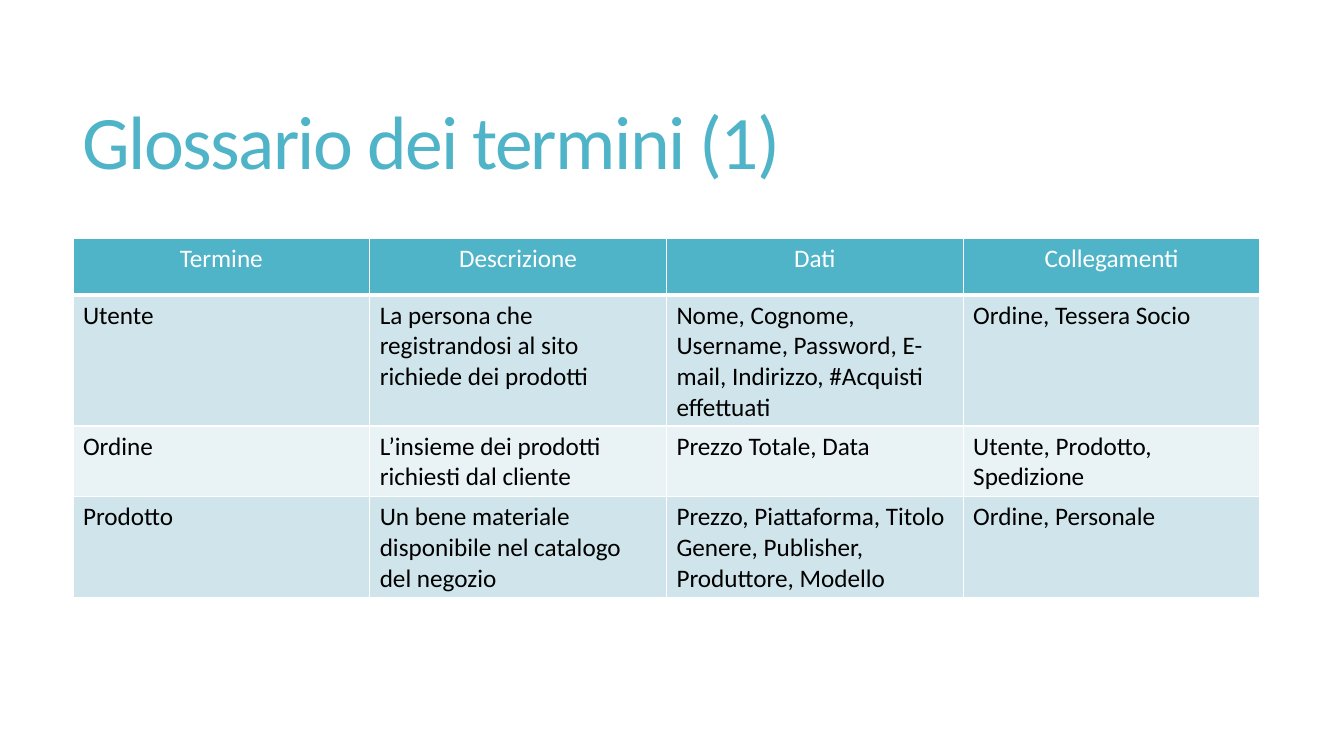
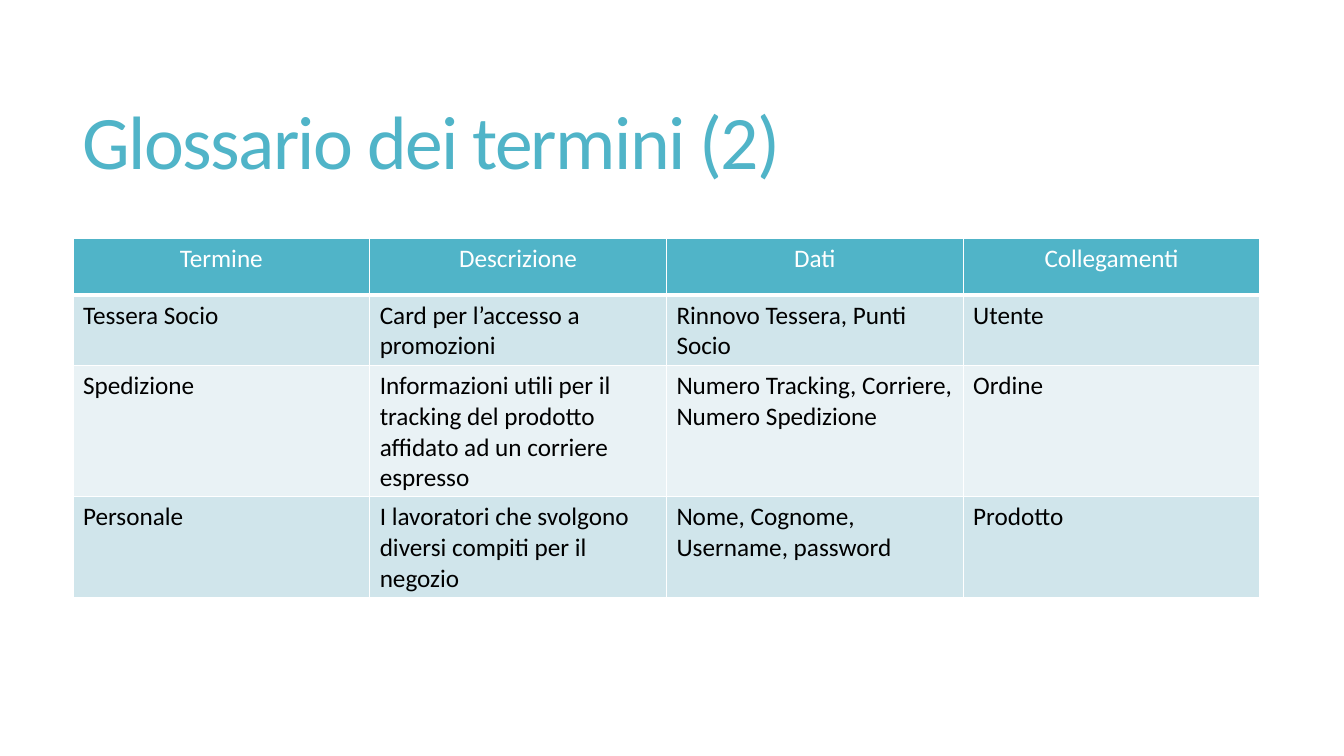
"""Build two glossary slides, each with a title and a table of terms."""
from dataclasses import dataclass

from lxml import etree
from pptx import Presentation
from pptx.dml.color import RGBColor
from pptx.enum.text import MSO_ANCHOR, PP_ALIGN
from pptx.util import Emu, Pt

MIDDLE = MSO_ANCHOR.MIDDLE
CENTER, LEFT = PP_ALIGN.CENTER, PP_ALIGN.LEFT
A = "{http://schemas.openxmlformats.org/drawingml/2006/main}"
PX = 914400 / 100.8


@dataclass(frozen=True)
class Theme:
    font: str = "Calibri"
    accent: str = "50B4C8"
    white: str = "FFFFFF"
    ink: str = "000000"
    bands: tuple = ("D0E5EB", "E9F2F5")
    title_size: int = 54
    body_size: int = 18
    title_tracking: int = -120
    title_leading: float = 0.85
    rule: int = 1
    header_rule: int = 3


theme = Theme()


def px(n):
    return Emu(round(n * PX))


def add_text(p, text, size, color):
    r = p.add_run()
    r.text = text
    r.font.name = theme.font
    r.font.size = Pt(size)
    r.font.bold = False
    r.font.color.rgb = RGBColor.from_string(color)
    return r


LEFT_X, WIDTH = 73, 1187
TITLE_Y, TITLE_H = 55, 183
TABLE_Y, HEADER_H, ROW_H = 238, 57, 58

HEADER = ("Termine", "Descrizione", "Dati", "Collegamenti")
GLOSSARY = [
    ("Glossario dei termini (1)", [
        ("Utente",
         "La persona che registrandosi al sito richiede dei prodotti",
         "Nome, Cognome, Username, Password, E-mail, Indirizzo, #Acquisti effettuati",
         "Ordine, Tessera Socio"),
        ("Ordine",
         "L’insieme dei prodotti richiesti dal cliente",
         "Prezzo Totale, Data",
         "Utente, Prodotto, Spedizione"),
        ("Prodotto",
         "Un bene materiale disponibile nel catalogo del negozio",
         "Prezzo, Piattaforma, Titolo Genere, Publisher, Produttore, Modello",
         "Ordine, Personale"),
    ]),
    ("Glossario dei termini (2)", [
        ("Tessera Socio",
         "Card per l’accesso a promozioni",
         "Rinnovo Tessera, Punti Socio",
         "Utente"),
        ("Spedizione",
         "Informazioni utili per il tracking del prodotto affidato ad un corriere espresso",
         "Numero Tracking, Corriere, Numero Spedizione",
         "Ordine"),
        ("Personale",
         "I lavoratori che svolgono diversi compiti per il negozio",
         "Nome, Cognome, Username, password",
         "Prodotto"),
    ]),
]

prs = Presentation()
prs.slide_width, prs.slide_height = px(1344), px(756)
blank = prs.slide_layouts[6]

for title, terms in GLOSSARY:
    s = prs.slides.add_slide(blank)

    sp = s.shapes.add_textbox(px(LEFT_X), px(TITLE_Y), px(WIDTH), px(TITLE_H))
    tf = sp.text_frame
    tf.word_wrap = True
    tf.vertical_anchor = MIDDLE
    p = tf.paragraphs[0]
    p.line_spacing = theme.title_leading
    r = add_text(p, title, theme.title_size, theme.accent)
    r.font._element.set("spc", str(theme.title_tracking))

    rows = [HEADER, *terms]
    table = s.shapes.add_table(len(rows), len(HEADER), px(LEFT_X), px(TABLE_Y),
                               px(WIDTH), px(HEADER_H + ROW_H * len(terms))).table
    for i, row in enumerate(rows):
        is_header = i == 0
        table.rows[i].height = px(HEADER_H if is_header else ROW_H)
        fill = theme.accent if is_header else theme.bands[(i - 1) % 2]
        color = theme.white if is_header else theme.ink
        top = theme.header_rule if i == 1 else theme.rule
        bottom = theme.header_rule if is_header else theme.rule
        borders = {"lnL": theme.rule, "lnR": theme.rule, "lnT": top, "lnB": bottom}
        for j, text in enumerate(row):
            cell = table.cell(i, j)
            tcPr = cell._tc.get_or_add_tcPr()
            for side, width in borders.items():
                ln = etree.SubElement(tcPr, A + side, w=str(Pt(width)))
                line_fill = etree.SubElement(ln, A + "solidFill")
                etree.SubElement(line_fill, A + "srgbClr", val=theme.white)
            cell.fill.solid()
            cell.fill.fore_color.rgb = RGBColor.from_string(fill)
            p = cell.text_frame.paragraphs[0]
            p.alignment = CENTER if is_header else LEFT
            add_text(p, text, theme.body_size, color)

prs.save("out.pptx")
